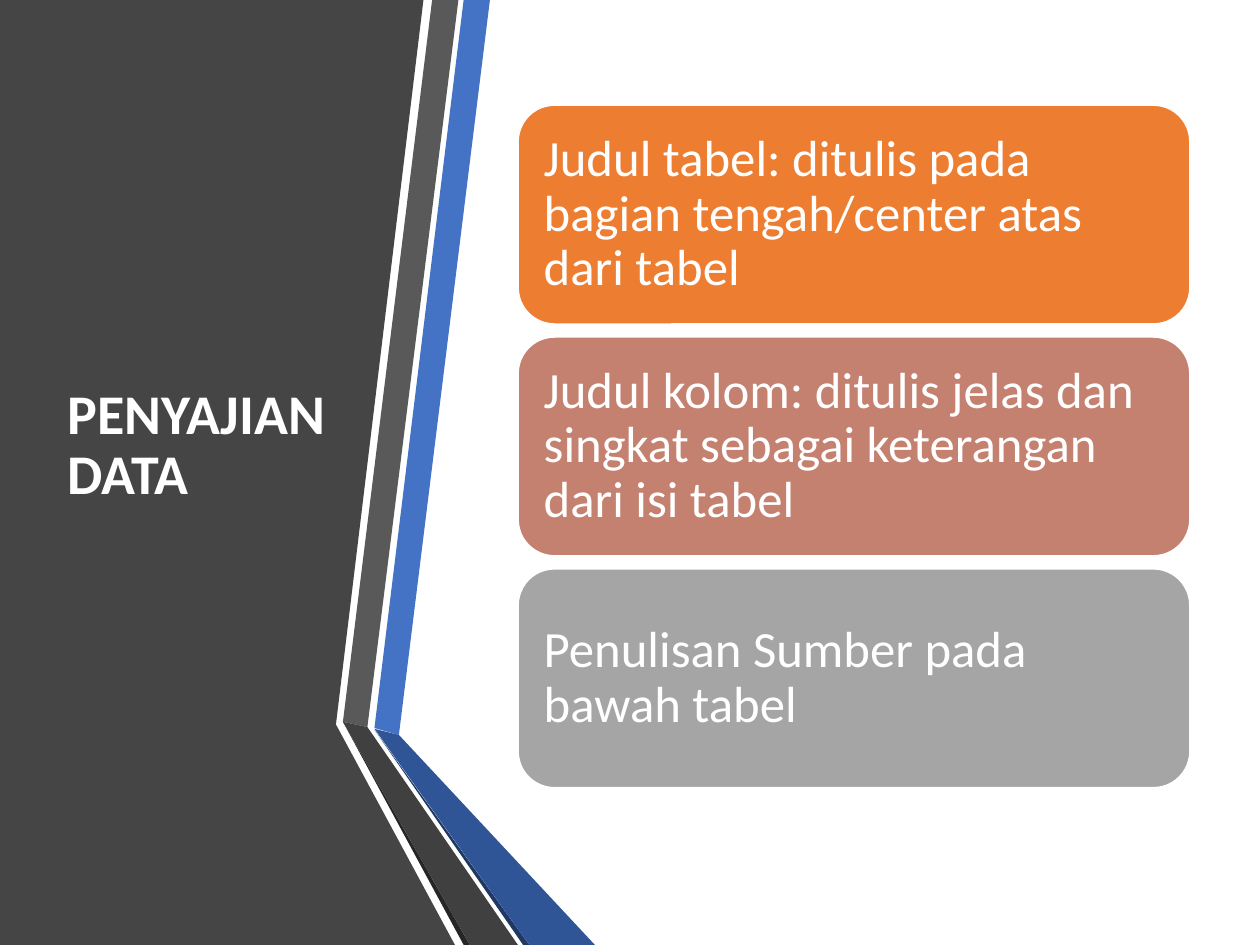
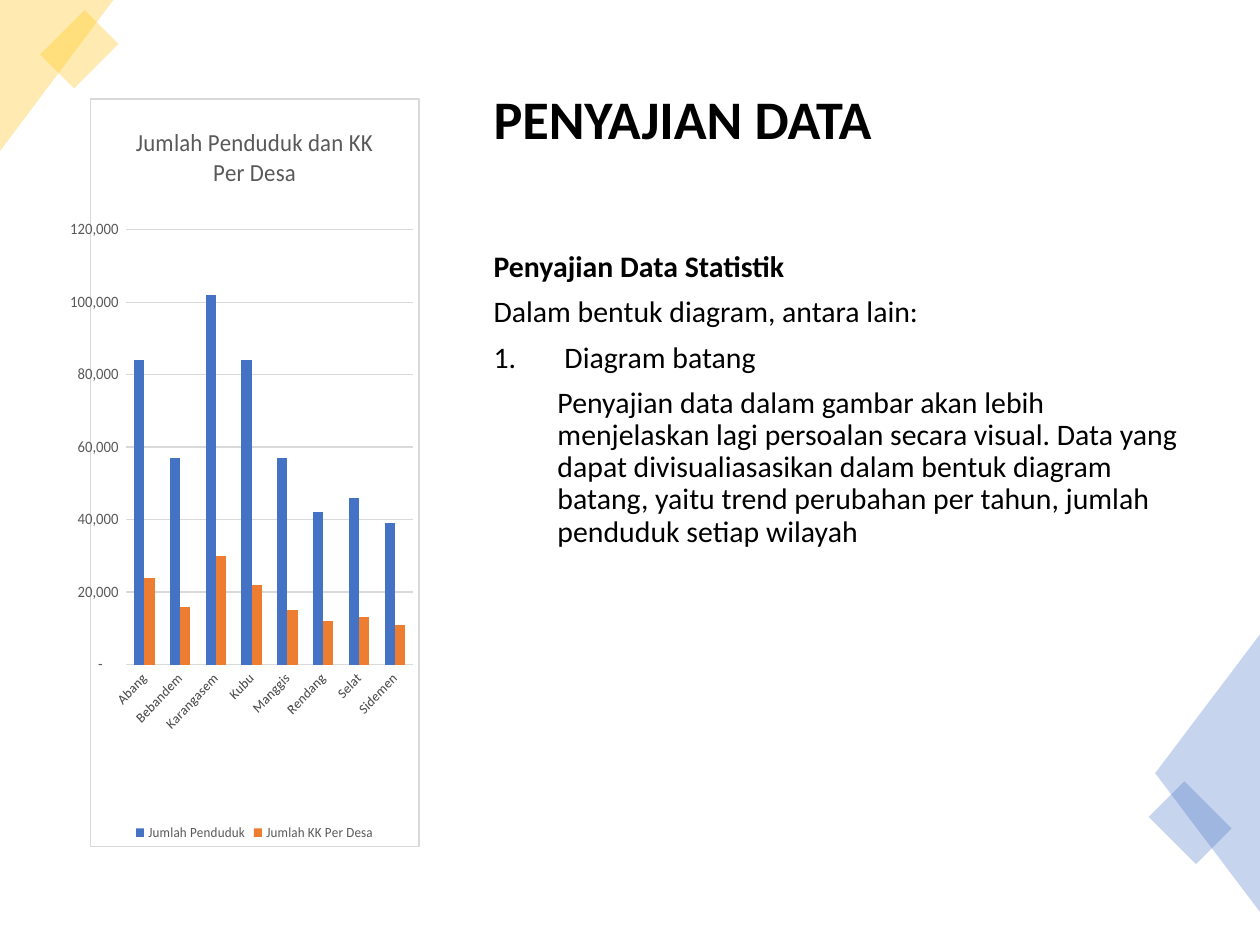
from lxml import etree
from pptx import Presentation
from pptx.chart.data import CategoryChartData
from pptx.dml.color import RGBColor
from pptx.enum import chart as charts, shapes, text
from pptx.oxml import parse_xml
from pptx.oxml.ns import nsdecls, qn
from pptx.util import Pt

FONT = "Calibri"
TITLE = "PENYAJIAN DATA"
WHITE, BLACK, BLUE, ORANGE, GOLD = "FFFFFF", "000000", "4472C4", "ED7D31", "FFC000"
LABEL, RULE = "595959", "D9D9D9"
WIDTH, HEIGHT = 720, 540

# Slide 1: bands of the left panel (colour, outline) and the cards
BANDS = [
    ("454545", [(0, 0), (242, 0), (192, 414), (260, HEIGHT), (0, HEIGHT)]),
    (BLUE, [(214, 416), (228, 420), (280, 0), (265, 0)]),
    ("595959", [(262, 0), (247, 0), (196, 412.5), (210, 415.5)]),
    ("262626", [(196, 412.5), (265, HEIGHT), (268.5, HEIGHT)]),
    ("203864", [(214, 417), (299, HEIGHT), (302.5, HEIGHT)]),
    ("2F5597", [(214, 416.5), (302.5, HEIGHT), (340, HEIGHT), (228, 420)]),
    ("404040", [(296, HEIGHT), (210, 415.5), (196, 412.5), (268.5, HEIGHT)]),
]
CARDS = [
    ("Judul tabel: ditulis pada bagian tengah/center atas dari tabel", ORANGE),
    ("Judul kolom: ditulis jelas dan singkat sebagai keterangan dari isi tabel", "C48170"),
    ("Penulisan Sumber pada bawah tabel", "A5A5A5"),
]
CARD_LEFT, CARD_TOP, CARD_WIDTH, CARD_HEIGHT, CARD_GAP = 296, 60, 384, 125.2, 7.3

# Slide 2: corner ornaments (kind, box, rotation, apex, colour), body text, chart
TRIANGLE, SQUARE = shapes.MSO_SHAPE.ISOSCELES_TRIANGLE, shapes.MSO_SHAPE.RECTANGLE
ORNAMENTS = [
    (TRIANGLE, (-10.8, 10.8, 86.4, 64.8), 90, 0, GOLD),
    (SQUARE, (27.4, 14.4, 36, 27.4), 315, None, GOLD),
    (TRIANGLE, (610.6, 411.8, 159, 60), 270, 0.5, BLUE),
    (SQUARE, (661, 455.8, 38.2, 28.8), 45, None, BLUE),
]
# text, bold, left margin, numbered
BODY = [
    ("Penyajian Data Statistik", True, 0, False),
    ("Dalam bentuk diagram, antara lain:", False, 0, False),
    ("Diagram batang", False, 40.5, True),
    ("Penyajian data dalam gambar akan lebih menjelaskan lagi persoalan secara visual. "
     "Data yang dapat divisualiasasikan dalam bentuk diagram batang, yaitu trend perubahan "
     "per tahun, jumlah penduduk setiap wilayah", False, 36.5, False),
]
CHART_TITLE = "Jumlah Penduduk dan KK Per Desa"
VILLAGES = ["Abang", "Bebandem", "Karangasem", "Kubu", "Manggis", "Rendang", "Selat", "Sidemen"]
SERIES = [
    ("Jumlah Penduduk", BLUE, [84000, 57000, 102000, 84000, 57000, 42000, 46000, 39000]),
    ("Jumlah KK Per Desa", ORANGE, [24000, 16000, 30000, 22000, 15000, 12000, 13000, 11000]),
]
NUMBER_FORMAT = '_(* #,##0_);_(* \\(#,##0\\);_(* "-"??_);_(@_)'
PLOT_AREA = {"x": 0.11, "y": 0.175, "w": 0.871, "h": 0.582}


def rgb(color):
    return RGBColor.from_string(color)


def points(*lengths):
    return [Pt(length) for length in lengths]


def set_font(font, size, color, bold=False):
    font.name, font.size, font.bold = FONT, Pt(size), bold
    font.color.rgb = rgb(color)


def paint(shape, color, alpha=None):
    shape.shadow.inherit = False
    shape.fill.solid()
    shape.fill.fore_color.rgb = rgb(color)
    shape.line.fill.background()
    if alpha:
        swatch = shape.fill._xPr.find(".//" + qn("a:srgbClr"))
        etree.SubElement(swatch, qn("a:alpha"), val=str(alpha * 1000))


def write(para, words, size, color, bold=False):
    para.text = words
    para.line_spacing = 0.9
    para.alignment = text.PP_ALIGN.LEFT
    set_font(para.font, size, color, bold)


def add_box(page, area, anchor):
    frame = page.shapes.add_textbox(*points(*area)).text_frame
    frame.word_wrap = True
    frame.vertical_anchor = anchor
    return frame


def add_title(page, area, size, color):
    frame = add_box(page, area, text.MSO_ANCHOR.MIDDLE)
    write(frame.paragraphs[0], TITLE, size, color, True)


def add_band(page, color, outline):
    corners = [points(*corner) for corner in outline]
    builder = page.shapes.build_freeform(*corners[0], scale=1.0)
    builder.add_line_segments(corners[1:], close=True)
    paint(builder.convert_to_shape(), color)


def add_card(page, index, words, color):
    top = CARD_TOP + index * (CARD_HEIGHT + CARD_GAP)
    card = page.shapes.add_shape(shapes.MSO_SHAPE.ROUNDED_RECTANGLE,
                                 *points(CARD_LEFT, top, CARD_WIDTH, CARD_HEIGHT))
    paint(card, color)
    card.line.color.rgb = rgb(WHITE)
    card.line.width = Pt(1)
    frame = card.text_frame
    frame.word_wrap = True
    frame.vertical_anchor = text.MSO_ANCHOR.MIDDLE
    frame.margin_left = frame.margin_right = frame.margin_top = frame.margin_bottom = Pt(8.6)
    write(frame.paragraphs[0], words, 29, WHITE)


def add_ornament(page, kind, area, rotation, apex, color):
    ornament = page.shapes.add_shape(kind, *points(*area))
    paint(ornament, color, alpha=30)
    ornament.rotation = rotation
    if apex is not None:
        ornament.adjustments[0] = apex


def add_body(page):
    frame = add_box(page, (275, 140.4, 407.5, 346.3), text.MSO_ANCHOR.TOP)
    for index, (words, bold, margin, numbered) in enumerate(BODY):
        para = frame.add_paragraph() if index else frame.paragraphs[0]
        write(para, words, 17, BLACK, bold)
        para.space_before = Pt(7.5)
        props = para._p.get_or_add_pPr()
        props.set("marL", str(Pt(margin)))
        props.set("indent", str(-Pt(margin) if numbered else 0))
        if numbered:
            etree.SubElement(props, qn("a:buFont"), typeface="+mj-lt")
            etree.SubElement(props, qn("a:buAutoNum"), type="arabicPeriod")
            props.append(props.find(qn("a:defRPr")))


def style_axis(axis, size):
    axis.major_tick_mark = axis.minor_tick_mark = charts.XL_TICK_MARK.NONE
    axis.format.line.fill.background()
    set_font(axis.tick_labels.font, size, LABEL)


def frame_chart(chart):
    """Fix the inner plot area and give the chart its white ground and border."""
    plot_area = chart._chartSpace.find(".//" + qn("c:plotArea"))
    for layout in plot_area.findall(qn("c:layout")):
        plot_area.remove(layout)
    modes = '<c:xMode val="edge"/><c:yMode val="edge"/>'
    sizes = "".join(f'<c:{side} val="{share}"/>' for side, share in PLOT_AREA.items())
    plot_area.insert(0, parse_xml(
        f'<c:layout {nsdecls("c")}><c:manualLayout><c:layoutTarget val="inner"/>'
        f'{modes}{sizes}</c:manualLayout></c:layout>'))
    chart._chartSpace.find(qn("c:chart")).addnext(parse_xml(
        f'<c:spPr {nsdecls("c", "a")}><a:solidFill><a:srgbClr val="{WHITE}"/></a:solidFill>'
        f'<a:ln w="{Pt(0.75)}"><a:solidFill><a:srgbClr val="{RULE}"/></a:solidFill></a:ln></c:spPr>'))


def add_village_chart(page):
    data = CategoryChartData()
    data.categories = VILLAGES
    for name, _, values in SERIES:
        data.add_series(name, values)
    chart = page.shapes.add_chart(charts.XL_CHART_TYPE.COLUMN_CLUSTERED,
                                  *points(38.2, 56.2, 201.6, 427.7), data).chart
    set_font(chart.font, 10, BLACK)

    # Title and legend
    heading = chart.chart_title.text_frame
    heading.text = CHART_TITLE
    set_font(heading.paragraphs[0].font, 14, LABEL)
    chart.chart_title.include_in_layout = False
    chart.has_legend = True
    chart.legend.position = charts.XL_LEGEND_POSITION.BOTTOM
    chart.legend.include_in_layout = False
    set_font(chart.legend.font, 8, LABEL)

    # Axes
    villages, people = chart.category_axis, chart.value_axis
    style_axis(villages, 8)
    villages._element.find(qn("c:txPr")).find(qn("a:bodyPr")).set("rot", "-2700000")
    style_axis(people, 9)
    people.minimum_scale, people.maximum_scale, people.major_unit = 0, 120000, 20000
    people.tick_labels.number_format = NUMBER_FORMAT
    people.tick_labels.number_format_is_linked = False
    people.major_gridlines.format.line.color.rgb = rgb(RULE)
    people.major_gridlines.format.line.width = Pt(0.75)

    # Columns
    plot = chart.plots[0]
    plot.gap_width, plot.overlap, plot.vary_by_categories = 150, 0, False
    for series, (_, color, _) in zip(plot.series, SERIES):
        series.format.fill.solid()
        series.format.fill.fore_color.rgb = rgb(color)
    frame_chart(chart)


def main():
    deck = Presentation()
    deck.slide_width, deck.slide_height = points(WIDTH, HEIGHT)
    rules_page, chart_page = [deck.slides.add_slide(deck.slide_layouts[6]) for _ in range(2)]

    # Slide 1: table rules
    for color, outline in BANDS:
        add_band(rules_page, color, outline)
    add_title(rules_page, (31.7, 54, 164.2, 401.8), 32, WHITE)
    for index, (words, color) in enumerate(CARDS):
        add_card(rules_page, index, words, color)

    # Slide 2: bar chart
    add_title(chart_page, (275, 25.2, 407.5, 89.3), 31, BLACK)
    for ornament in ORNAMENTS:
        add_ornament(chart_page, *ornament)
    add_body(chart_page)
    add_village_chart(chart_page)

    deck.save("out.pptx")


if __name__ == "__main__":
    main()
